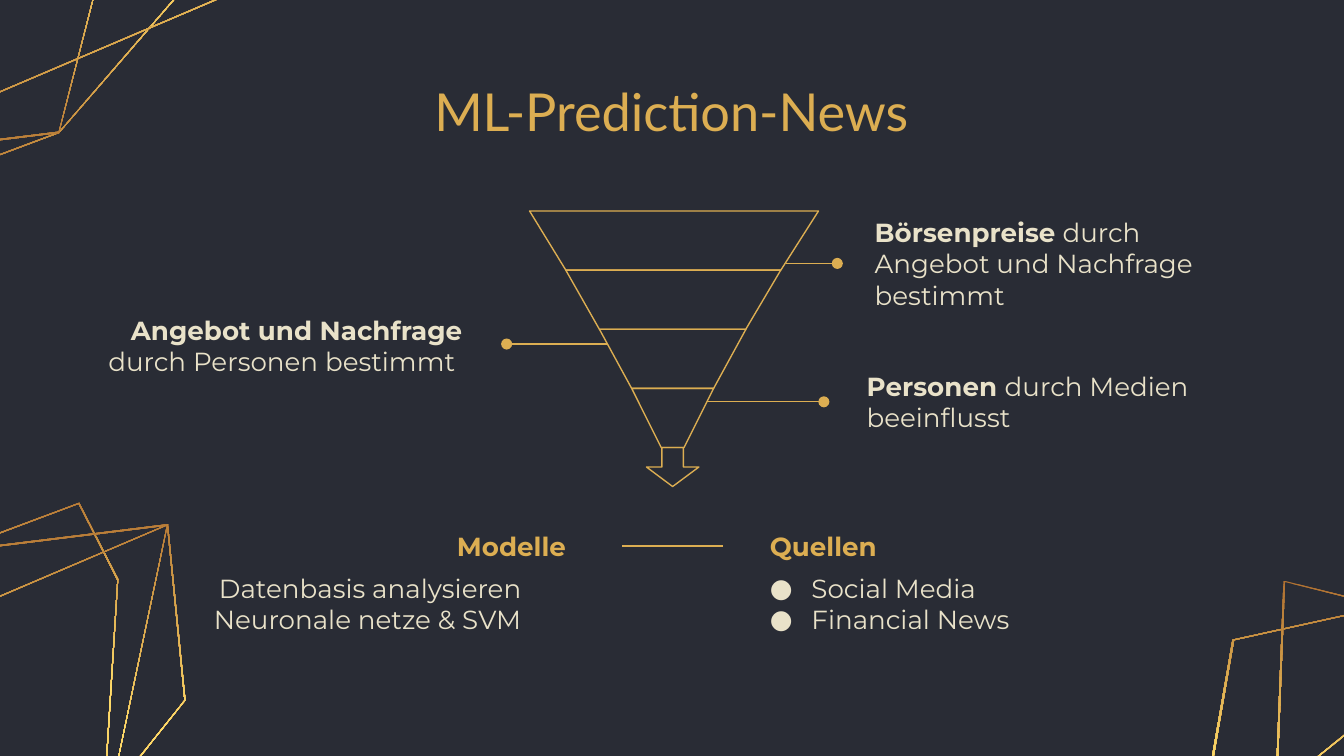
"""Build the ML-Prediction-News slide with a funnel and its explanations."""
import pptx
import pptx.util
import pptx.dml.color
import pptx.enum.shapes
import pptx.enum.text
import pptx.oxml
import pptx.oxml.ns

Inches, Pt = pptx.util.Inches, pptx.util.Pt
ALIGN = pptx.enum.text.PP_ALIGN
ANCHOR = pptx.enum.text.MSO_ANCHOR
NS = pptx.oxml.ns.nsdecls("a")

GOLD, CREAM, DARK = "DCAE52", "E9E2C9", "292C35"
GRADIENT = [(0, "AF7132"), (50, "FFDD6B"), (100, GOLD)]

CORNERS = [
    (84.4, [
        [(-1.05, 6.75), (-1.64, 5.58), (-0.37, 4.1), (0.59, 3.74), (0.88, 4.31), (0.76, 6.23)],
        [(-0.18, 7.17), (-1.05, 6.75), (-0.37, 4.1), (1.25, 3.9), (0.76, 6.23)],
        [(-0.18, 7.17), (-1.61, 5.12), (1.25, 3.9), (1.38, 5.21)],
    ]),
    (264.4, [
        [(1.12, -1.67), (1.72, -0.49), (0.44, 0.99), (-0.52, 1.35), (-0.81, 0.78), (-0.69, -1.14)],
        [(0.25, -2.08), (1.12, -1.66), (0.44, 0.99), (-1.18, 1.19), (-0.69, -1.14)],
        [(0.25, -2.08), (1.68, -0.03), (-1.18, 1.19), (-1.31, -0.12)],
    ]),
    (90, [
        [(8.89, 6.36), (9.17, 4.76), (11.53, 4.24), (12.75, 4.6), (12.6, 5.38), (11.06, 7.18)],
        [(9.43, 7.42), (8.89, 6.36), (11.53, 4.24), (13.28, 5.25), (11.06, 7.18)],
        [(9.43, 7.42), (9.55, 4.32), (13.28, 5.25), (12.44, 6.64)],
    ]),
]
FUNNEL_TOP, FUNNEL_STEP = 1.57, 0.44
FUNNEL_EDGES = [(3.94, 6.09), (4.21, 5.81), (4.46, 5.55), (4.7, 5.31), (4.92, 5.09)]
POINTERS = [(3.77, 4.52, 2.56), (6.23, 5.85, 1.96), (6.13, 5.26, 2.99)]
NOTES = [
    (6.41, 1.74, ALIGN.LEFT, "Börsenpreise", " durch Angebot und Nachfrage bestimmt"),
    (0.61, 2.35, ALIGN.RIGHT, "Angebot und Nachfrage ", "durch Personen bestimmt "),
    (6.35, 2.77, ALIGN.LEFT, "Personen ", "durch Medien beeinflusst"),
]
HEADINGS = [(2.96, ALIGN.RIGHT, "Modelle"), (5.63, ALIGN.LEFT, "Quellen")]
SOURCES = ["Social Media", "Financial News"]
MODELS = ["Datenbasis analysieren", "Neuronale netze & SVM"]


def rgb(color):
    return pptx.dml.color.RGBColor.from_string(color)


def set_line(sp, width=0.75):
    sp.line.color.rgb = rgb(GOLD)
    sp.line.width = Pt(width)


def outline(sp):
    sp.shadow.inherit = False
    sp.fill.background()
    set_line(sp)


def freeform(s, *contours):
    builder = None
    for contour in contours:
        points = [(Inches(x), Inches(y)) for x, y in contour]
        if builder is None:
            builder = s.shapes.build_freeform(*points[0])
        else:
            builder.move_to(*points[0])
        builder.add_line_segments(points[1:], close=True)
    return builder.convert_to_shape()


def add_frame(s, points, angle):
    cx = sum(x for x, y in points) / len(points)
    cy = sum(y for x, y in points) / len(points)
    inner = [(x + (cx - x) / 140, y + (cy - y) / 140) for x, y in points]
    sp = freeform(s, points, inner[::-1])
    sp.shadow.inherit = False
    sp.line.fill.background()
    stops = "".join(f'<a:gs pos="{pos * 1000}"><a:srgbClr val="{color}"/></a:gs>'
                    for pos, color in GRADIENT)
    sp.fill.background()
    spPr = sp.element.spPr
    spPr.replace(spPr.find(pptx.oxml.ns.qn("a:noFill")), pptx.oxml.parse_xml(
        f'<a:gradFill {NS}><a:gsLst>{stops}</a:gsLst>'
        f'<a:lin ang="{round(angle * 60000)}" scaled="0"/></a:gradFill>'))


def add_line(s, x1, x2, y, width=0.75, dot=False):
    sp = s.shapes.add_connector(pptx.enum.shapes.MSO_CONNECTOR.STRAIGHT,
                                Inches(x1), Inches(y), Inches(x2), Inches(y))
    set_line(sp, width)
    spPr = sp._element.spPr
    if dot:
        spPr.find(pptx.oxml.ns.qn("a:ln")).append(
            pptx.oxml.parse_xml(f'<a:headEnd {NS} type="oval"/>'))
    spPr.append(pptx.oxml.parse_xml(f"<a:effectLst {NS}/>"))


def add_bullet(p, color, size, font):
    pPr = p._p.get_or_add_pPr()
    pPr.set("marL", str(Inches(0.31)))
    pPr.set("indent", str(-Inches(0.31)))
    for xml in (f'<a:buClr {NS}><a:srgbClr val="{color}"/></a:buClr>',
                f'<a:buSzPts {NS} val="{size * 100}"/>',
                f'<a:buFont {NS} typeface="{font}"/>',
                f'<a:buChar {NS} char="●"/>'):
        pPr.append(pptx.oxml.parse_xml(xml))


def add_text(s, box, paragraphs, align=ALIGN.LEFT, color=CREAM, size=14,
             font="Montserrat", anchor=ANCHOR.MIDDLE, bullet=False):
    tf = s.shapes.add_textbox(*map(Inches, box)).text_frame
    tf.word_wrap = True
    tf.vertical_anchor = anchor
    tf.margin_left = tf.margin_right = tf.margin_top = tf.margin_bottom = Inches(0.1)
    for i, runs in enumerate(paragraphs):
        p = tf.add_paragraph() if i else tf.paragraphs[0]
        p.alignment = align
        if bullet:
            add_bullet(p, color, size, font)
        for text, bold in runs:
            r = p.add_run()
            r.text = text
            r.font.name, r.font.size, r.font.bold = font, Pt(size), bold
            r.font.color.rgb = rgb(color)


def main():
    prs = pptx.Presentation()
    prs.slide_width = Inches(10)
    prs.slide_height = prs.slide_width * 9 // 16
    s = prs.slides.add_slide(prs.slide_layouts[6])
    s.background.fill.solid()
    s.background.fill.fore_color.rgb = rgb(DARK)

    for angle, frames in CORNERS:
        for points in frames:
            add_frame(s, points, angle)

    add_text(s, (2.18, 0.59, 5.63, 0.47), [[("ML-Prediction-News", False)]],
             ALIGN.CENTER, GOLD, 28, "Lato")

    for i, ((l1, r1), (l2, r2)) in enumerate(zip(FUNNEL_EDGES, FUNNEL_EDGES[1:])):
        top = FUNNEL_TOP + i * FUNNEL_STEP
        bottom = top + FUNNEL_STEP
        outline(freeform(s, [(l1, top), (l2, bottom), (r2, bottom), (r1, top)]))
    for x1, x2, y in POINTERS:
        add_line(s, x1, x2, y, dot=True)
    arrow = s.shapes.add_shape(pptx.enum.shapes.MSO_SHAPE.DOWN_ARROW,
                               *map(Inches, (4.81, 3.33, 0.39, 0.29)))
    arrow.adjustments[0], arrow.adjustments[1] = 0.41, 0.5
    outline(arrow)

    for x, y, align, strong, rest in NOTES:
        add_text(s, (x, y, 2.93, 0.44), [[(strong, True), (rest, False)]], align)
    for x, align, text in HEADINGS:
        add_text(s, (x, 3.84, 1.35, 0.44), [[(text, True)]], align, GOLD)
    add_line(s, 5.38, 4.63, 4.06, width=1)
    add_text(s, (5.63, 4.16, 2.94, 1.37), [[(text, False)] for text in SOURCES],
             anchor=ANCHOR.TOP, bullet=True)
    add_text(s, (1.38, 4.16, 2.6, 0.76), [[(text, False)] for text in MODELS],
             ALIGN.RIGHT, anchor=ANCHOR.TOP)

    prs.save("out.pptx")


if __name__ == "__main__":
    main()
